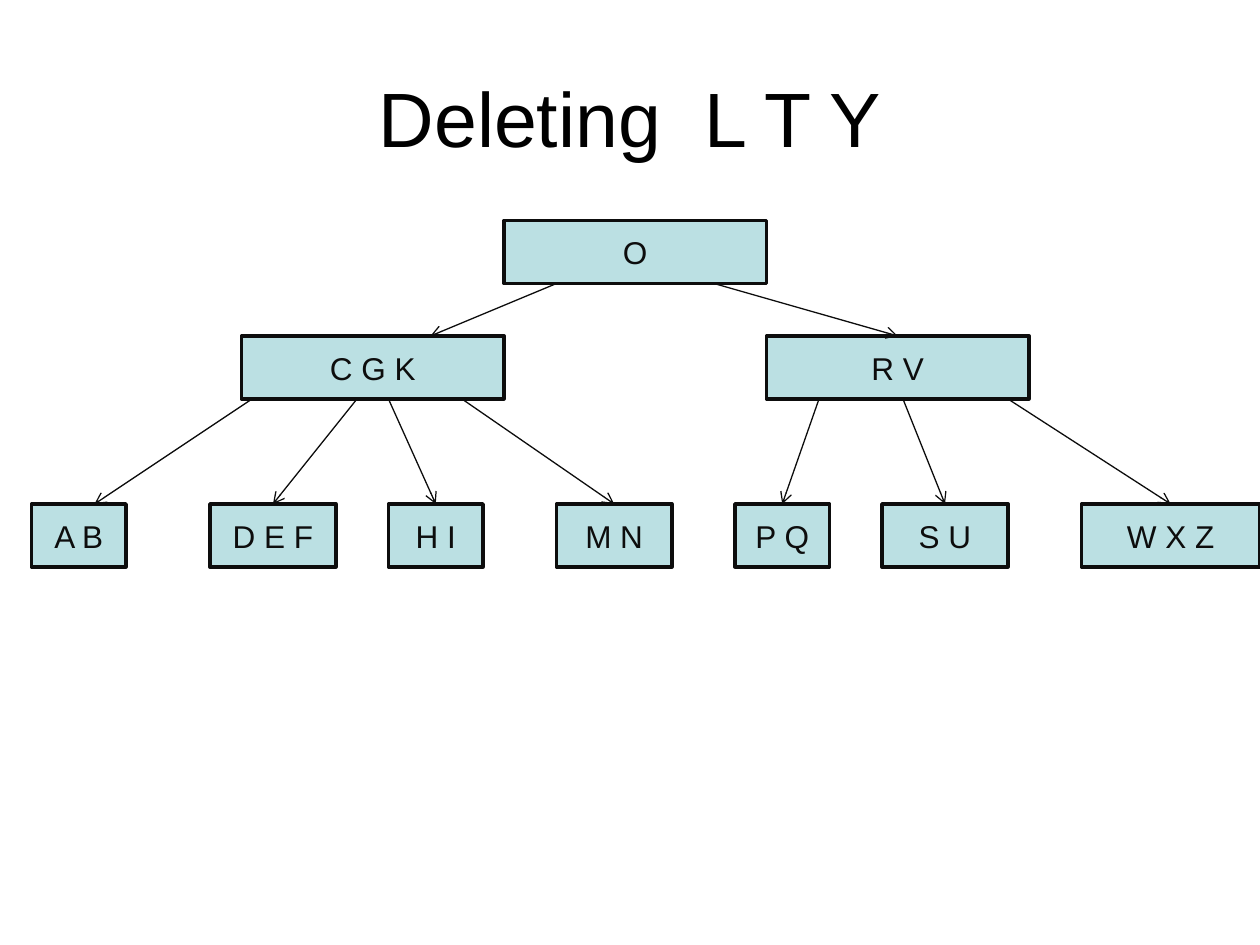
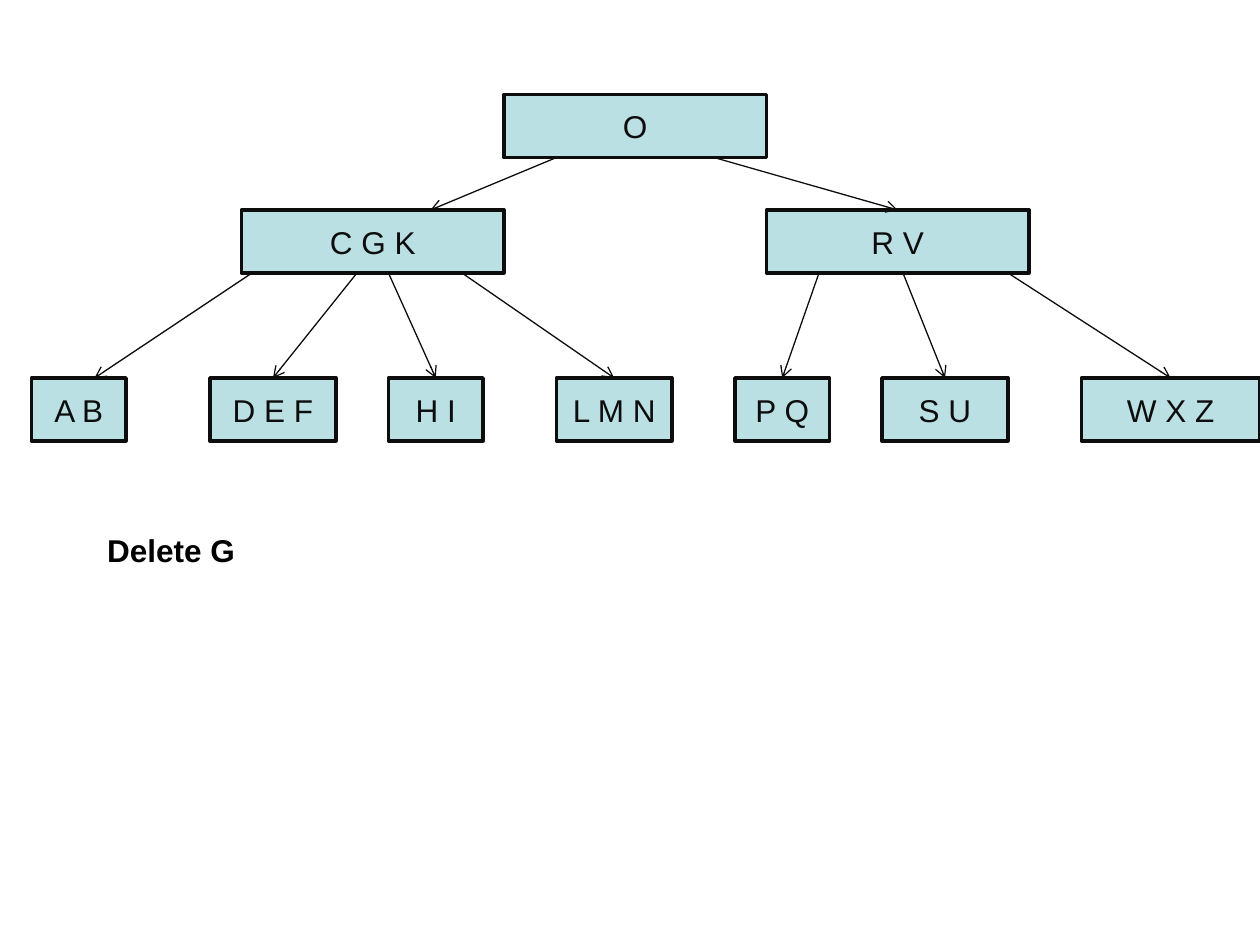
from lxml import etree
from pptx import Presentation
from pptx.dml.color import RGBColor
from pptx.enum.shapes import MSO_CONNECTOR as Connector, MSO_SHAPE as Shape
from pptx.enum.text import MSO_ANCHOR as Anchor, MSO_AUTO_SIZE as AutoSize, PP_ALIGN as Align
from pptx.oxml.ns import qn
from pptx.util import Cm, Pt

FONT = "Arial"
BLACK, INK, NODE_FILL = "000000", "0D0D0D", "BBE0E3"
GRID = 2.54 / 12  # the trees sit on a grid of twelve steps to the inch
NODE_HEIGHT = 6
ROOT_ROW, MIDDLE_ROW, LEAF_ROW = 0, 11, 27

# label, left, row, width
NODES = [
    ("O", 48, ROOT_ROW, 25),
    ("C G K", 23, MIDDLE_ROW, 25),
    ("R V", 73, MIDDLE_ROW, 25),
    ("A B", 3, LEAF_ROW, 9),
    ("D E F", 20, LEAF_ROW, 12),
    ("H I", 37, LEAF_ROW, 9),
    ("M N", 53, LEAF_ROW, 11),
    ("P Q", 70, LEAF_ROW, 9),
    ("S U", 84, LEAF_ROW, 12),
    ("W X Z", 103, LEAF_ROW, 17),
]
# parent row, child row, then the start and end across
ARROWS = [(ROOT_ROW, MIDDLE_ROW, 53, 41)]
ARROWS += [
    (MIDDLE_ROW, LEAF_ROW, start, end)
    for start, end in [(24, 9), (34, 26), (37, 41.5), (44, 58.5),
                       (78, 74.5), (86, 90), (96, 111.5)]
]
ARROWS += [(ROOT_ROW, MIDDLE_ROW, 68, 85.5)]


def rgb(value):
    return RGBColor.from_string(value)


def add_span(para, text, size, color, bold=False):
    span = para.add_run()
    span.text = text
    span.font.name = FONT
    span.font.size = Pt(size)
    span.font.bold = bold
    span.font.color.rgb = rgb(color)
    return span


deck = Presentation()
deck.slide_width, deck.slide_height = Cm(25.4), Cm(19.05)
title_page = deck.slides.add_slide(deck.slide_layouts[5])
delete_page = deck.slides.add_slide(deck.slide_layouts[6])

# Title of the first page, with a wide gap before the deleted keys
title = title_page.shapes.title
title.left, title.top, title.width, title.height = Cm(1.27), Cm(0.76), Cm(22.86), Cm(3.18)
title.text_frame.vertical_anchor = Anchor.MIDDLE
title_para = title.text_frame.paragraphs[0]
title_para.alignment = Align.CENTER
add_span(title_para, "Deleting", 44, BLACK)
gap = add_span(title_para, " ", 44, BLACK)
gap.font._element.set("spc", "1220")
add_span(title_para, "L T Y", 44, BLACK)

# The same tree on both pages; the second still holds L
for page, tree_top, relabelled in [
    (title_page, 21, {}),
    (delete_page, 9, {"M N": "L M N"}),
]:
    for label, left, row, width in NODES:
        node = page.shapes.add_shape(
            Shape.RECTANGLE, Cm(left * GRID), Cm((tree_top + row) * GRID),
            Cm(width * GRID), Cm(NODE_HEIGHT * GRID))
        node.shadow.inherit = False
        node.fill.solid()
        node.fill.fore_color.rgb = rgb(NODE_FILL)
        node.line.color.rgb = rgb(INK)
        node.line.width = Pt(2)
        node.text_frame.vertical_anchor = Anchor.MIDDLE
        para = node.text_frame.paragraphs[0]
        para.alignment = Align.CENTER
        add_span(para, relabelled.get(label, label), 18, INK)

    for parent_row, child_row, start, end in ARROWS:
        arrow = page.shapes.add_connector(
            Connector.STRAIGHT,
            Cm(start * GRID), Cm((tree_top + parent_row + NODE_HEIGHT) * GRID),
            Cm(end * GRID), Cm((tree_top + child_row) * GRID))
        arrow.line.color.rgb = rgb(INK)
        arrow.line.width = Pt(0.75)
        etree.SubElement(arrow.line._get_or_add_ln(), qn("a:tailEnd"), type="arrow")
        etree.SubElement(arrow._element.spPr, qn("a:effectLst"))

# The next step, below the second tree
caption = delete_page.shapes.add_textbox(Cm(1.91), Cm(10.59), Cm(9.96), Cm(1.02))
caption.text_frame.word_wrap = True
caption.text_frame.auto_size = AutoSize.SHAPE_TO_FIT_TEXT
add_span(caption.text_frame.paragraphs[0], "Delete G", 18, BLACK, bold=True)

deck.save("out.pptx")
